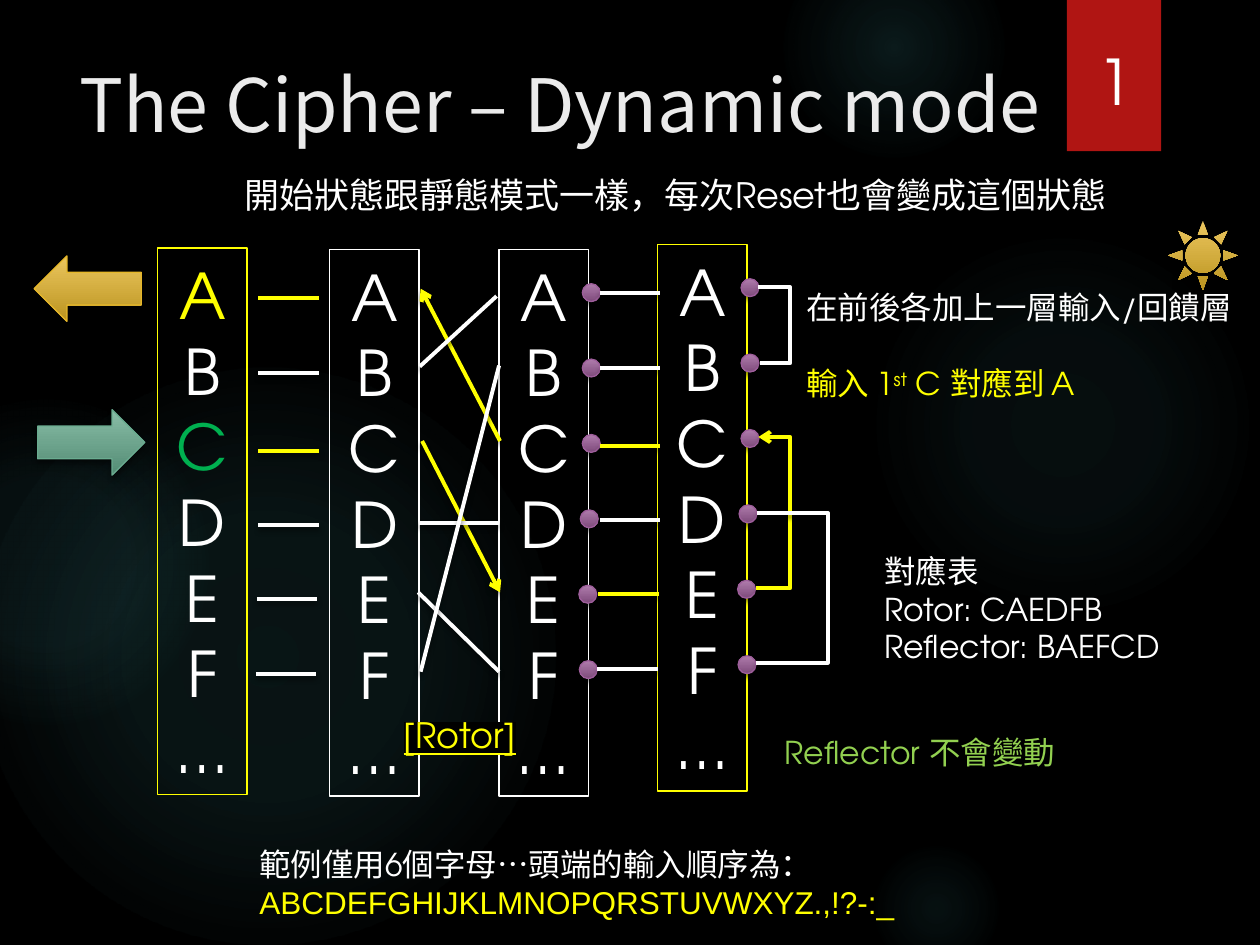
import pptx
import pptx.dml.color
import pptx.enum.dml
import pptx.enum.shapes
import pptx.enum.text
import pptx.oxml
import pptx.oxml.ns
import pptx.util

Cm = pptx.util.Cm
Pt = pptx.util.Pt
RGBColor = pptx.dml.color.RGBColor
SHAPE = pptx.enum.shapes.MSO_SHAPE
CONNECTOR = pptx.enum.shapes.MSO_CONNECTOR
ALIGN = pptx.enum.text.PP_ALIGN

BLACK = RGBColor(0x00, 0x00, 0x00)
WHITE = RGBColor(0xFF, 0xFF, 0xFF)
TITLE = RGBColor(0xEB, 0xEB, 0xEB)
YELLOW = RGBColor(0xFF, 0xFF, 0x00)
GREEN = RGBColor(0x00, 0xB0, 0x50)
LIME = RGBColor(0x92, 0xD0, 0x50)
RED = RGBColor(0xB0, 0x15, 0x13)
TEAL = RGBColor(0x50, 0xB9, 0xC1)
GOLD = (RGBColor(0xEB, 0xC6, 0x5F), RGBColor(0xBB, 0x94, 0x1F), RGBColor(0xE6, 0xB7, 0x29))
SAGE = (RGBColor(0x89, 0xBD, 0xA7), RGBColor(0x53, 0x8C, 0x74), RGBColor(0x6A, 0xAC, 0x90))
PURPLE = (RGBColor(0xAF, 0x7C, 0xAC), RGBColor(0x7F, 0x4B, 0x7C), RGBColor(0x9E, 0x5E, 0x9B))

FONT = "TeX Gyre Adventor"
LETTERS = ["A", "B", "C", "D", "E", "F", "…"]
ROW = 1.52
COLUMN_W, COLUMN_H = 1.8, 11.02
DOT = 0.36
DOT_X = [11.74, 11.74, 11.74, 11.7, 11.67, 11.68]
WIRE_X = [12.09, 12.09, 12.09, 12.09, 12.06, 12.04]
WIRE_Y = [5.9, 7.42, 8.99, 10.49, 11.97, 13.49]


def xml(text):
    """Parse a DrawingML fragment whose root carries the a: prefix."""
    tag, rest = text.split(" ", 1)
    return pptx.oxml.parse_xml(f"{tag} {pptx.oxml.ns.nsdecls('a')} {rest}")


def add_shadow(sp, alpha=45, blur=3, dist=2):
    """Give a shape or connector a soft shadow falling downwards."""
    spPr = sp._element.spPr
    for old in spPr.findall(pptx.oxml.ns.qn("a:effectLst")):
        spPr.remove(old)
    spPr.append(xml(
        f'<a:effectLst ><a:outerShdw blurRad="{Pt(blur)}" dist="{Pt(dist)}" dir="5400000" '
        f'rotWithShape="0"><a:srgbClr val="000000"><a:alpha val="{alpha * 1000}"/></a:srgbClr>'
        '</a:outerShdw></a:effectLst>'))


def set_gradient(sp, stops, direction):
    """Fill a shape with (position, colour, opacity) stops."""
    gs = "".join(
        f'<a:gs pos="{pos * 1000}"><a:srgbClr val="{color}"><a:alpha val="{alpha * 1000}"/>'
        '</a:srgbClr></a:gs>' for pos, color, alpha in stops)
    sp._element.spPr.insert(2, xml(
        f'<a:gradFill rotWithShape="1"><a:gsLst>{gs}</a:gsLst>{direction}</a:gradFill>'))


def add_shape(s, kind, x, y, w, h):
    """Add a preset shape without outline or inherited shadow."""
    sp = s.shapes.add_shape(kind, Cm(x), Cm(y), Cm(w), Cm(h))
    sp.shadow.inherit = False
    sp.line.fill.background()
    return sp


def add_glow(s, x, y, size, inner, middle, edge):
    """Add a round background glow fading to nothing at the edge."""
    sp = add_shape(s, SHAPE.OVAL, x, y, size, size)
    set_gradient(sp, [(0, TEAL, inner), (36, TEAL, middle), (edge, TEAL, 0)],
                 '<a:path path="circle"><a:fillToRect l="50000" t="50000" r="50000" b="50000"/></a:path>')


def add_shiny(s, kind, x, y, w, h, palette, outlined=True):
    """Add a shape with a vertical gradient and an optional outline."""
    top, bottom, edge = palette
    sp = add_shape(s, kind, x, y, w, h)
    if outlined:
        sp.line.color.rgb = edge
        sp.line.width = Pt(0.75)
    set_gradient(sp, [(0, top, 100), (100, bottom, 100)], '<a:lin ang="5400000" scaled="0"/>')
    return sp


def style(r, color, size, font=FONT):
    """Format one run."""
    r.font.name = font
    r.font.size = Pt(size)
    r.font.color.rgb = color


def add_text(s, x, y, w, h, text, color=WHITE, size=18, font=FONT, wrap=True):
    """Add a text box with one paragraph per line of text."""
    sp = s.shapes.add_textbox(Cm(x), Cm(y), Cm(w), Cm(h))
    tf = sp.text_frame
    tf.word_wrap = wrap
    tf.text = text
    for p in tf.paragraphs:
        for r in p.runs:
            style(r, color, size, font)
    return tf


def add_column(s, x, y, edge, colors):
    """Add an outlined column of letters."""
    sp = add_shape(s, SHAPE.RECTANGLE, x, y, COLUMN_W, COLUMN_H)
    sp.fill.background()
    sp.line.color.rgb = edge
    sp.line.width = Pt(0.75)
    tf = sp.text_frame
    tf.word_wrap = False
    tf.auto_size = pptx.enum.text.MSO_AUTO_SIZE.SHAPE_TO_FIT_TEXT
    tf.text = "\n".join(LETTERS)
    for p in tf.paragraphs:
        p.alignment = ALIGN.CENTER
        style(p.runs[0], colors.get(p.text, WHITE), 36)
    return sp


def add_line(s, x1, y1, x2, y2, color=WHITE, arrow=None, kind=CONNECTOR.STRAIGHT):
    """Add a wire; arrow is headEnd, tailEnd or None."""
    c = s.shapes.add_connector(kind, Cm(x1), Cm(y1), Cm(x2), Cm(y2))
    c.line.color.rgb = color
    c.line.width = Pt(2.25)
    if arrow:
        c.line._get_or_add_ln().append(xml(f'<a:{arrow} type="arrow"/>'))
    add_shadow(c)
    return c


def add_loop(s, x1, y1, x2, y2, via, color=WHITE, arrow=None):
    """Add a reflector wire that bends at the given x."""
    c = add_line(s, x1, y1, x2, y2, color, arrow, CONNECTOR.ELBOW)
    adj = round((via - x1) / (x2 - x1) * 100000)
    av = c._element.spPr.find(".//" + pptx.oxml.ns.qn("a:avLst"))
    av.append(xml(f'<a:gd name="adj1" fmla="val {adj}"/>'))


def add_wiring(s, input_col, rotor_col):
    """Draw the wires of the rotor, the layers and the reflector."""
    add_line(s, 8.48, 5.82, 10.08, 8.89, YELLOW, "headEnd")
    add_line(s, 8.51, 8.89, 10.08, 11.94, YELLOW, "tailEnd")
    c = add_line(s, 8.45, 10.54, 10.06, 10.54)
    c.begin_connect(input_col, 3)
    c.end_connect(rotor_col, 1)
    add_line(s, 8.43, 11.94, 10.06, 13.54)
    add_line(s, 8.48, 13.54, 10.06, 7.37)
    add_line(s, 8.46, 7.39, 10.01, 5.97)
    for dx, dy in ((0, 0), (3.2, -0.1)):
        for i, x in enumerate(DOT_X):
            sp = add_shiny(s, SHAPE.OVAL, x + dx, 5.72 + dy + i * ROW, DOT, DOT, PURPLE)
            add_shadow(sp)
    add_loop(s, 15.29, 5.79, 15.32, 7.32, 15.93)
    add_loop(s, 15.29, 8.81, 15.24, 11.86, 15.93, YELLOW, "headEnd")
    add_loop(s, 15.27, 10.34, 15.24, 13.36, 16.69)
    for dx, dy, active in ((0, 0, "CE"), (-6.88, 0.1, "AC")):
        for letter, x, y in zip(LETTERS, WIRE_X, WIRE_Y):
            color = YELLOW if letter in active else WHITE
            add_line(s, x + dx, y + dy, x + dx + 1.22, y + dy, color)


def add_notes(s):
    """Write the texts around the diagram."""
    tf = add_text(s, 16, 5.69, 9.4, 2.57, "在前後各加上一層輸入/回饋層\n輸入 1")
    p = tf.paragraphs[1]
    p.space_before = Pt(21.7)
    p.add_run().text = "st"
    p.add_run().text = " C 對應到 A"
    for r in p.runs:
        style(r, YELLOW, 18)
    p.runs[1].font._element.set("baseline", "30000")

    tf = add_text(s, 4.98, 16.92, 16.2, 1.8,
                  "範例僅用6個字母…頭端的輸入順序為：\vABCDEFGHIJKLMNOPQRSTUVWXYZ.,!?-:_")
    style(tf.paragraphs[0].runs[1], YELLOW, 18, "Arial")
    add_text(s, 4.67, 3.38, 20.19, 1.12, "開始狀態跟靜態模式一樣，每次Reset也會變成這個狀態", size=20)
    add_text(s, 15.57, 14.66, 6.53, 1.02, "Reflector 不會變動", LIME)
    add_text(s, 17.58, 11, 9.27, 2.57, "對應表\nRotor: CAEDFB\nReflector: BAEFCD")

    p = add_text(s, 7.85, 14.25, 2.84, 1.12, "[Rotor]", YELLOW, 20).paragraphs[0]
    p.alignment = ALIGN.CENTER
    font = p.runs[0].font
    font.underline = True
    fill = font._element.find(pptx.oxml.ns.qn("a:solidFill"))
    fill.addnext(xml('<a:highlight ><a:srgbClr val="000000"/></a:highlight>'))


def main():
    """Build the slide and save it."""
    prs = pptx.Presentation()
    prs.slide_width, prs.slide_height = Cm(25.4), Cm(19.05)
    s = prs.slides.add_slide(prs.slide_layouts[6])
    s.background.fill.solid()
    s.background.fill.fore_color.rgb = BLACK
    for glow in ((17.5, 4.65, 7.82, 7, 6, 69), (15.8, -1.27, 4.45, 14, 7, 73),
                 (17.5, 16.94, 2.74, 9, 5, 66), (-0.43, 7.42, 11.63, 11, 10, 75),
                 (-2.34, 8.05, 6.55, 8, 8, 72)):
        add_glow(s, *glow)
    badge = add_shape(s, SHAPE.RECTANGLE, 21.51, 0, 1.9, 3.05)
    badge.fill.solid()
    badge.fill.fore_color.rgb = RED
    add_shadow(badge)
    add_text(s, 21.87, 0.74, 1.22, 1.8, "1", size=36, wrap=False)
    tf = add_text(s, 1.35, 1.27, 20.52, 3.89, "The Cipher – Dynamic mode", TITLE, 42, "Noto Sans CJK SC")
    tf.paragraphs[0].line_spacing = 0.9

    add_column(s, 3.18, 5, YELLOW, {"A": YELLOW, "C": GREEN})
    input_col = add_column(s, 6.65, 5.03, WHITE, {})
    rotor_col = add_column(s, 10.06, 5.03, WHITE, {})
    add_column(s, 13.26, 4.93, YELLOW, {})
    add_wiring(s, input_col, rotor_col)
    add_shadow(add_shiny(s, SHAPE.RIGHT_ARROW, 0.76, 8.26, 2.16, 1.32, SAGE))
    add_shadow(add_shiny(s, SHAPE.LEFT_ARROW, 0.69, 5.16, 2.16, 1.32, GOLD))
    add_shadow(add_shiny(s, SHAPE.SUN, 23.55, 4.45, 1.4, 1.4, GOLD, False), 60, 5, 3)
    add_notes(s)
    prs.save("out.pptx")


if __name__ == "__main__":
    main()
